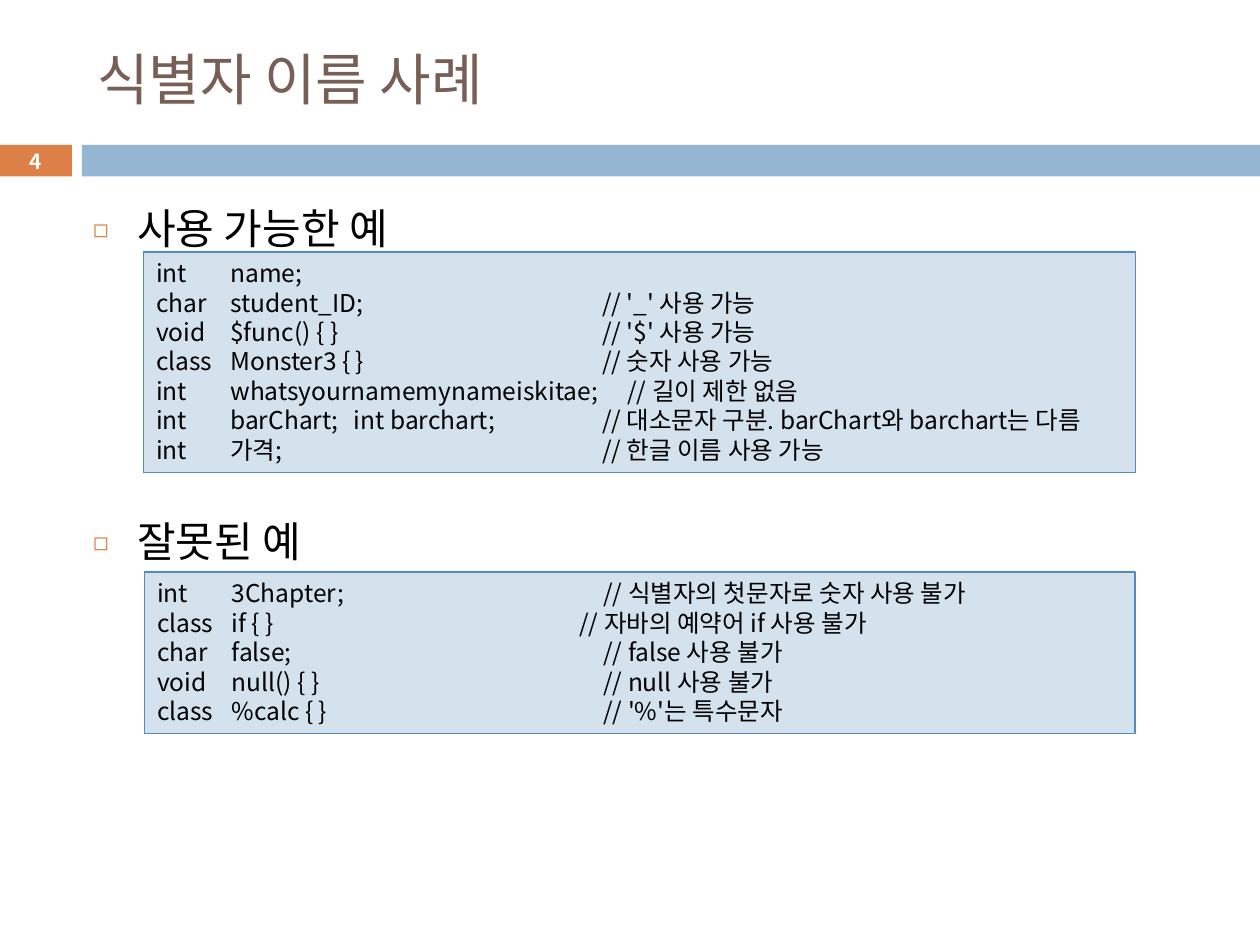
from pptx import Presentation
from pptx.dml.color import RGBColor
from pptx.enum.shapes import MSO_SHAPE
from pptx.enum.text import MSO_ANCHOR, PP_ALIGN
from pptx.oxml.ns import qn
from pptx.util import Inches, Pt
from lxml.etree import SubElement

FONT = "Noto Sans CJK KR"
COLORS = {"title": "775F55", "accent": "DD8047", "band": "94B6D2", "panel": "D4E2ED",
          "border": "558BB8", "text": "000000", "number": "FFFFFF"}
TITLE = "식별자 이름 사례"
SLIDE_NUMBER = "4"
HEADINGS = [("사용 가능한 예", 0), ("잘못된 예", 144)]
NAME_STOP, COMMENT_STOP = 0.59, 3.54
STOPS = (NAME_STOP, COMMENT_STOP)
VALID_ROWS = [
    ("int\tname;", STOPS),
    ("char\tstudent_ID;\t// '_' 사용 가능", STOPS),
    ("void\t$func() { }\t// '$' 사용 가능", STOPS),
    ("class\tMonster3 { }\t// 숫자 사용 가능", STOPS),
    ("int\twhatsyournamemynameiskitae;\t// 길이 제한 없음", (NAME_STOP, 3.74)),
    ("int\tbarChart;\tint barchart;\t// 대소문자 구분. barChart와 barchart는 다름",
     (NAME_STOP, 1.57, COMMENT_STOP)),
    ("int\t가격;\t// 한글 이름 사용 가능", STOPS),
]
INVALID_ROWS = [
    ("int\t3Chapter;\t// 식별자의 첫문자로 숫자 사용 불가", STOPS),
    ("class\tif { }\t// 자바의 예약어 if 사용 불가", (NAME_STOP, 3.35)),
    ("char\tfalse;\t// false 사용 불가", STOPS),
    ("void\tnull() { }\t// null 사용 불가", STOPS),
    ("class\t%calc { }\t// '%'는 특수문자", STOPS),
]
PANELS = [((1.14, 2, 7.87, 1.75), VALID_ROWS), ((1.15, 4.54, 7.86, 1.28), INVALID_ROWS)]


def color(name):
    """Return the palette colour with this name."""
    return RGBColor.from_string(COLORS[name])


def apply_format(target, values):
    """Set each attribute of the target from a dict."""
    for name, value in values.items():
        setattr(target, name, value)


def write(paragraph, text, size, color_name, bold=False):
    """Put one formatted run in a paragraph."""
    run = paragraph.add_run()
    run.text = text
    apply_format(run.font, {"size": Pt(size), "bold": bold, "name": FONT})
    run.font.color.rgb = color(color_name)
    SubElement(run.font._element, qn("a:ea"), typeface=FONT)


def add_rectangle(slide, box, fill, line=None):
    """Add a flat rectangle with an optional border."""
    shape = slide.shapes.add_shape(MSO_SHAPE.RECTANGLE, *map(Inches, box))
    shape.shadow.inherit = False
    shape.fill.solid()
    shape.fill.fore_color.rgb = color(fill)
    if line:
        shape.line.color.rgb = color(line)
        shape.line.width = Pt(0.75)
    else:
        shape.line.fill.background()
    return shape


def add_bullet(paragraph):
    """Give a paragraph a hanging square bullet."""
    properties = paragraph._p.get_or_add_pPr()
    properties.set("marL", str(Inches(0.35)))
    properties.set("indent", str(-Inches(0.35)))
    bullet_color = SubElement(properties, qn("a:buClr"))
    SubElement(bullet_color, qn("a:srgbClr"), val=COLORS["accent"])
    SubElement(properties, qn("a:buSzPct"), val="60000")
    SubElement(properties, qn("a:buFont"), typeface=FONT)
    SubElement(properties, qn("a:buChar"), char="◻")


def add_tabs(paragraph, stops):
    """Add left tab stops measured in inches."""
    tabs = SubElement(paragraph._p.get_or_add_pPr(), qn("a:tabLst"))
    for stop in stops:
        SubElement(tabs, qn("a:tab"), pos=str(Inches(stop)), algn="l")


def paragraphs_for(frame, items):
    """Yield a paragraph of the frame with each item."""
    for index, item in enumerate(items):
        yield (frame.add_paragraph() if index else frame.paragraphs[0]), item


def add_panel(slide, box, rows):
    """Add a code panel with aligned columns."""
    frame = add_rectangle(slide, box, "panel", "border").text_frame
    apply_format(frame, {"word_wrap": True, "vertical_anchor": MSO_ANCHOR.TOP})
    for paragraph, (text, stops) in paragraphs_for(frame, rows):
        add_tabs(paragraph, stops)
        apply_format(paragraph, {"alignment": PP_ALIGN.LEFT, "line_spacing": Pt(16.8)})
        write(paragraph, text, 14, "text")


def main():
    """Build the slide and save it."""
    presentation = Presentation()
    apply_format(presentation, {"slide_width": Inches(10), "slide_height": Inches(7.5)})
    slide = presentation.slides.add_slide(presentation.slide_layouts[5])
    number_box = (-0.01, 1.15, 0.58, 0.25)
    add_rectangle(slide, number_box, "accent")
    add_rectangle(slide, (0.65, 1.15, 9.35, 0.25), "band")

    title = slide.shapes.title
    apply_format(title, {"left": Inches(0.67), "top": Inches(0.25),
                         "width": Inches(8.92), "height": Inches(0.74)})
    apply_format(title.text_frame, {"vertical_anchor": MSO_ANCHOR.MIDDLE, "word_wrap": True})
    title.text_frame.paragraphs[0].alignment = PP_ALIGN.LEFT
    write(title.text_frame.paragraphs[0], TITLE, 32, "title")

    body = slide.shapes.add_textbox(*map(Inches, (0.64, 1.47, 8.92, 5.51))).text_frame
    body.word_wrap = True
    for paragraph, (text, gap) in paragraphs_for(body, HEADINGS):
        add_bullet(paragraph)
        apply_format(paragraph, {"space_before": Pt(gap), "line_spacing": Pt(35)})
        write(paragraph, text, 24, "text")

    for box, rows in PANELS:
        add_panel(slide, box, rows)

    number = slide.shapes.add_textbox(*map(Inches, number_box)).text_frame
    apply_format(number, {"vertical_anchor": MSO_ANCHOR.MIDDLE, "word_wrap": True,
                          "margin_top": 0, "margin_bottom": 0})
    number.paragraphs[0].alignment = PP_ALIGN.CENTER
    write(number.paragraphs[0], SLIDE_NUMBER, 11.9, "number", bold=True)
    presentation.save("out.pptx")


if __name__ == "__main__":
    main()
